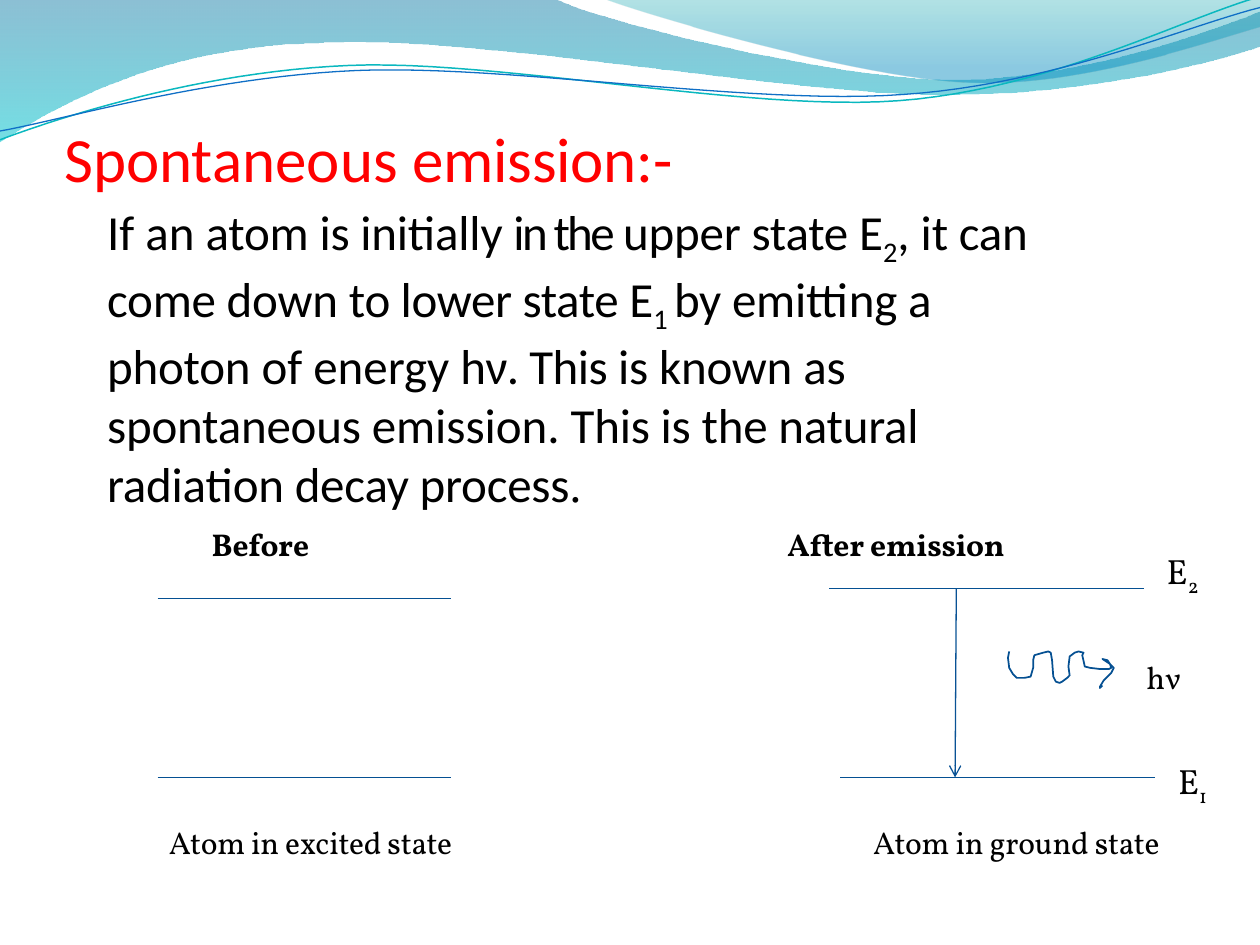
from typing import NamedTuple

from lxml.etree import SubElement
from pptx import Presentation
from pptx.dml.color import RGBColor
from pptx.enum.shapes import MSO_CONNECTOR as Connector
from pptx.enum.text import MSO_ANCHOR as Anchor, MSO_AUTO_SIZE as AutoSize
from pptx.oxml.ns import qn
from pptx.util import Inches, Pt

BLACK = RGBColor(0x00, 0x00, 0x00)
RED = RGBColor(0xFF, 0x00, 0x00)
NAVY = RGBColor(0x05, 0x50, 0x92)
ARROW_BLUE = RGBColor(0x09, 0x52, 0x95)
TEAL = RGBColor(0x0A, 0xB8, 0xBF)
BLUE = RGBColor(0x0F, 0x6F, 0xC6)
DEEP_BLUE = RGBColor(0x00, 0x74, 0xA1)
CYAN = RGBColor(0x00, 0xC6, 0xCF)
SEA = RGBColor(0x00, 0xA1, 0xA9)
SKY = RGBColor(0x00, 0x8B, 0xBF)

SANS = "Calibri"
SERIF = "Vollkorn"


class Span(NamedTuple):
    text: str
    spacing: float = 0
    baseline: int = 0
    font: str = ""


def curve(start, *knots, steps=24):
    """Points along a chain of cubic Bezier curves; three knots per curve."""
    points = [start]
    for i in range(0, len(knots), 3):
        a, (b, c, d) = points[-1], knots[i:i + 3]
        for step in range(1, steps + 1):
            t = step / steps
            u = 1 - t
            points.append(tuple(
                u**3 * a[k] + 3 * u * u * t * b[k] + 3 * u * t * t * c[k] + t**3 * d[k]
                for k in (0, 1)))
    return points


class SlideBuilder:
    def __init__(self, slide):
        self.shapes = slide.shapes

    def outline(self, points, closed=False):
        spots = [(Inches(x), Inches(y)) for x, y in points]
        builder = self.shapes.build_freeform(*spots[0])
        builder.add_line_segments(spots[1:], close=closed)
        shape = builder.convert_to_shape()
        shape.shadow.inherit = False
        return shape

    def wave(self, points, *stops):
        """Closed band with a downward gradient; stops are (position, colour, opacity %)."""
        band = self.outline(points, closed=True)
        band.line.fill.background()
        band.fill.gradient()
        band.fill.gradient_angle = 270
        for stop, (position, color, opacity) in zip(band.fill.gradient_stops, stops):
            stop.position = position
            stop.color.rgb = color
        gradient = band._element.spPr.find(qn("a:gradFill"))
        for color_xml, stop in zip(gradient.iter(qn("a:srgbClr")), stops):
            SubElement(color_xml, qn("a:alpha"), val=str(stop[2] * 1000))

    def stroke(self, points, color, weight):
        path_line = self.outline(points)
        path_line.fill.background()
        path_line.line.color.rgb = color
        path_line.line.width = Pt(weight)

    def line(self, start, end, color, weight, arrow=False):
        connector = self.shapes.add_connector(
            Connector.STRAIGHT, *(Inches(v) for v in (*start, *end)))
        connector.line.color.rgb = color
        connector.line.width = Pt(weight)
        SubElement(connector._element.spPr, qn("a:effectLst"))
        if arrow:
            SubElement(connector.line._get_or_add_ln(), qn("a:tailEnd"), type="arrow")

    def text(self, left, top, width, height, *spans, size=18, font=SERIF, color=BLACK,
             bold=False, anchor=Anchor.TOP, tab=None, tight=True):
        """Text box; tight drops the margins and wraps the text."""
        box = self.shapes.add_textbox(*(Inches(v) for v in (left, top, width, height)))
        frame = box.text_frame
        frame.word_wrap = tight
        frame.auto_size = AutoSize.SHAPE_TO_FIT_TEXT
        frame.vertical_anchor = anchor
        paragraph = frame.paragraphs[0]
        if tight:
            frame.margin_left = frame.margin_right = frame.margin_bottom = 0
            frame.margin_top = Inches(0.01)
            paragraph._p.get_or_add_pPr().set("marL", str(Inches(0.01)))
        if tab:
            tabs = SubElement(paragraph._p.get_or_add_pPr(), qn("a:tabLst"))
            SubElement(tabs, qn("a:tab"), pos=str(Inches(tab)), algn="l")
        for span in spans:
            run = paragraph.add_run()
            run.text = span.text
            run.font.size = Pt(size)
            run.font.name = span.font or font
            run.font.bold = bold
            run.font.color.rgb = color
            properties = run._r.get_or_add_rPr()
            if span.spacing:
                properties.set("spc", str(round(span.spacing * 100)))
            if span.baseline:
                properties.set("baseline", str(span.baseline * 1000))


def subscript(digit):
    return Span(digit, 0, -25)


PHOTON = [
    (8.01, 5.17), (8, 5.22), (8.01, 5.3), (8.04, 5.35), (8.07, 5.38), (8.13, 5.38),
    (8.18, 5.37), (8.2, 5.3), (8.2, 5.24), (8.21, 5.2), (8.28, 5.18), (8.32, 5.17),
    (8.34, 5.18), (8.35, 5.24), (8.36, 5.37), (8.38, 5.41), (8.41, 5.42), (8.43, 5.41),
    (8.47, 5.38), (8.49, 5.36), (8.48, 5.29), (8.49, 5.21), (8.53, 5.18), (8.56, 5.17),
    (8.6, 5.18), (8.59, 5.2), (8.61, 5.29), (8.65, 5.3), (8.73, 5.31), (8.8, 5.31),
    (8.82, 5.3), (8.81, 5.27), (8.75, 5.23), (8.79, 5.24), (8.81, 5.27), (8.84, 5.3),
    (8.82, 5.34), (8.76, 5.4), (8.73, 5.45), (8.73, 5.46), (8.75, 5.44),
]


def main():
    prs = Presentation()
    prs.slide_width, prs.slide_height = Inches(10), Inches(7.5)
    page = SlideBuilder(prs.slides.add_slide(prs.slide_layouts[6]))

    upper_edge = curve((4.4, -0.01), (4.76, 0.17), (6.64, 0.63), (7.58, 0.63),
                       (8.53, 0.63), (9.58, 0.26), (10, 0.09))
    lower_edge = curve((10.01, 0.36), (9.83, 0.44), (8.7, 0.76), (7.46, 0.75),
                       (6.22, 0.75), (3.82, 0.28), (2.57, 0.34),
                       (1.29, 0.36), (0.46, 0.83), (-0.01, 1.13))
    page.wave([(0, 0)] + upper_edge + lower_edge, (0, DEEP_BLUE, 45), (1, CYAN, 55))
    right_edge = curve((4.79, -0.01), (5.09, 0.11), (6.82, 0.62), (7.69, 0.65),
                       (8.56, 0.69), (9.61, 0.32), (10, 0.21))
    page.wave(right_edge + [(10, 0)], (0, SEA, 30), (0.8, SKY, 45))
    page.stroke(curve((0, 1.11), (0.48, 0.93), (1.58, 0.57), (2.77, 0.52),
                      (3.95, 0.47), (5.93, 0.89), (7.13, 0.8),
                      (8.33, 0.71), (9.38, 0.15), (9.98, -0.02)), TEAL, 0.85)
    page.stroke(curve((0, 1.04), (0.47, 0.96), (1.64, 0.61), (2.83, 0.56),
                      (4.03, 0.51), (5.97, 0.84), (7.17, 0.75),
                      (8.36, 0.67), (9.41, 0.21), (10, 0.06)), BLUE, 0.75)

    page.text(0.5, 0.92, 4.86, 0.63, Span("Spontaneous "), Span("emission:-", -0.1),
              size=36, font=SANS, color=RED, anchor=Anchor.BOTTOM)

    for left, level, length in ((1.25, 4.75, 2.33), (1.25, 6.17, 2.33),
                                (6.58, 4.67, 2.5), (6.67, 6.17, 2.5)):
        page.line((left, level), (left + length, level), NAVY, 1)
    page.stroke(PHOTON, NAVY, 1)

    page.text(6.92, 6.52, 2.32, 0.33, Span("Atom in ground state", -0.1))
    page.text(1.33, 6.52, 2.3, 0.33, Span("Atom in excited state", -0.1))
    page.text(1.67, 4.16, 7, 0.32, Span("Before\tAfter emission", -0.1),
              bold=True, tab=4.57)
    for left, top, digit in ((9.25, 4.35, "2"), (9.34, 6.02, "1")):
        page.text(left, top, 0.29, 0.35, Span("E", -0.1), subscript(digit), size=20)

    page.text(
        0.84, 1.59, 7.58, 2.37,
        Span("If an "), Span("atom is initially ", -0.1), Span("in the ", -1.5),
        Span("upper state ", -0.1), Span("E"), subscript("2"), Span(", "),
        Span("it can come down ", -0.1), Span("to lower state ", -0.2),
        Span("E"), subscript("1 "), Span("by ", -0.2), Span("emitting a photon ", -0.1),
        Span("of energy "), Span("hν. This ", -0.3), Span("is known ", -0.1), Span("as "),
        Span("spontaneous ", -0.1), Span("emission."),
        Span(" This is the natural radiation decay process", -0.1),
        Span(".", -0.1, font="Times New Roman"),
        size=28, font=SANS)

    page.line((7.59, 4.67), (7.58, 6.17), ARROW_BLUE, 0.75, arrow=True)
    page.text(9, 5.17, 0.47, 0.4, Span("hν"), tight=False)

    prs.save("out.pptx")


if __name__ == "__main__":
    main()
